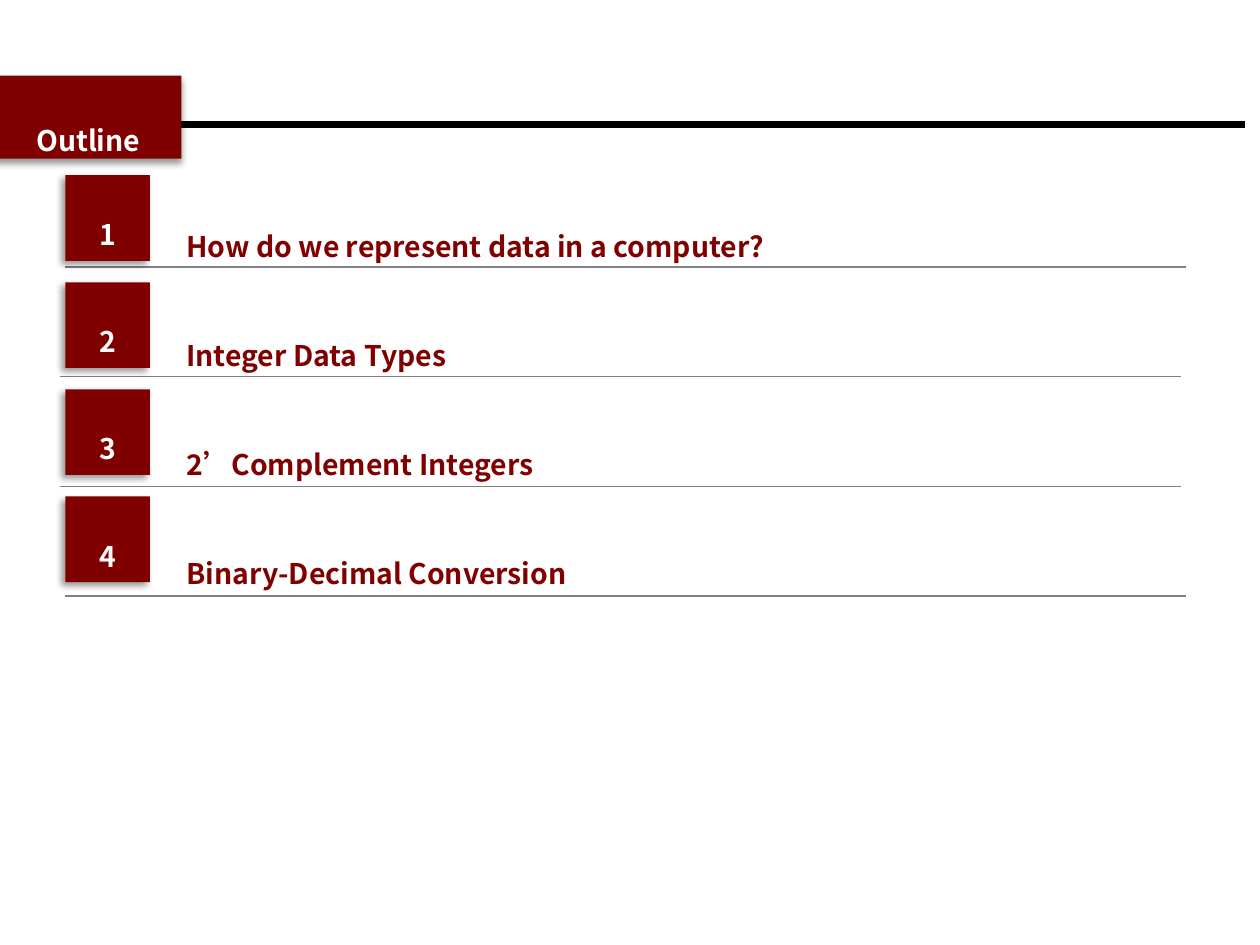
"""Build the lecture outline slide with four numbered topics."""
from dataclasses import dataclass

from lxml import etree
from pptx import Presentation
from pptx.dml.color import RGBColor
from pptx.enum import shapes, text
from pptx.oxml import parse_xml
from pptx.util import Inches, Pt


@dataclass(frozen=True)
class Theme:
    font: str = "Noto Sans CJK SC"
    size: int = 28
    accent: RGBColor = RGBColor(0x80, 0x00, 0x00)
    light: RGBColor = RGBColor(0xFF, 0xFF, 0xFF)
    bar: RGBColor = RGBColor(0x00, 0x00, 0x00)
    rule: RGBColor = RGBColor(0x80, 0x80, 0x80)


theme = Theme()
A = "http://schemas.openxmlformats.org/drawingml/2006/main"


def write(sp, words, color, align=text.PP_ALIGN.LEFT, wrap=False,
          insets=(0.11, 0.06), before=None, spacing=None,
          fit=text.MSO_AUTO_SIZE.NONE):
    tf = sp.text_frame
    tf.word_wrap = wrap
    tf.auto_size = fit
    tf.vertical_anchor = text.MSO_ANCHOR.MIDDLE
    tf.margin_left = tf.margin_right = Inches(insets[0])
    tf.margin_top = tf.margin_bottom = Inches(insets[1])
    p = tf.paragraphs[0]
    p.alignment = align
    p.space_before = before
    p.line_spacing = spacing
    r = p.add_run()
    r.text = words
    r.font.name = theme.font
    r.font.size = Pt(theme.size)
    r.font.bold = True
    r.font.color.rgb = color
    rpr = r.font._element
    rpr.set("baseline", "-25000")
    latin = rpr.find(f"{{{A}}}latin")
    latin.addnext(etree.Element(f"{{{A}}}ea", typeface=theme.font))


def set_shadow(sp, angle=None):
    sppr = sp._element.spPr
    for old in sppr.findall(f"{{{A}}}effectLst"):
        sppr.remove(old)
    shadow = "" if angle is None else (
        f'<a:outerShdw blurRad="{Pt(4)}" dist="{Pt(3)}" dir="{angle * 60000}" '
        'algn="ctr" rotWithShape="0"><a:srgbClr val="000000">'
        '<a:alpha val="40000"/></a:srgbClr></a:outerShdw>')
    sppr.append(parse_xml(f'<a:effectLst xmlns:a="{A}">{shadow}</a:effectLst>'))


prs = Presentation()
prs.slide_width, prs.slide_height = Inches(10), Inches(7.5)
s = prs.slides.add_slide(prs.slide_layouts[5])

title = s.shapes.title
title.left, title.top = Inches(-0.04), Inches(0.6)
title.width, title.height = Inches(1.48), Inches(0.66)
title.fill.solid()
title.fill.fore_color.rgb = theme.accent
set_shadow(title, 90)
write(title, "Outline", theme.light, align=text.PP_ALIGN.CENTER, spacing=1.2)

bar = s.shapes.add_connector(shapes.MSO_CONNECTOR.STRAIGHT, Inches(0.12),
                             Inches(0.99), Inches(9.88), Inches(0.99))
bar.line.color.rgb = theme.bar
bar.line.width = Pt(3.75)
set_shadow(bar)
title._element.addprevious(bar._element)

topics = [
    ("How do we represent data in a computer?", 9.54, 0.52),
    ("Integer Data Types", 8.28, 0.48),
    ("2’Complement Integers", 7.81, 0.48),
    ("Binary-Decimal Conversion", 6.94, 0.52),
]
for i, (topic, width, rule_left) in enumerate(topics):
    y = Inches(2.12 + 0.87 * i)
    rule = s.shapes.add_connector(shapes.MSO_CONNECTOR.STRAIGHT,
                                  Inches(rule_left), y,
                                  Inches(rule_left + 8.89), y)
    rule.line.color.rgb = theme.rule
    rule.line.width = Pt(0.75)
    set_shadow(rule, 135)

    badge = s.shapes.add_shape(shapes.MSO_SHAPE.RECTANGLE, Inches(0.52),
                               Inches(1.39 + 0.85 * i), Inches(0.67), Inches(0.68))
    badge.fill.solid()
    badge.fill.fore_color.rgb = theme.accent
    badge.line.fill.background()
    set_shadow(badge, 135)
    write(badge, str(i + 1), theme.light, align=text.PP_ALIGN.CENTER, insets=(0, 0))

    label = s.shapes.add_textbox(Inches(1.37), Inches(1.53 + 0.865 * i),
                                 Inches(width), Inches(0.59))
    write(label, topic, theme.accent, wrap=True,
          fit=text.MSO_AUTO_SIZE.SHAPE_TO_FIT_TEXT)

prs.save("out.pptx")
